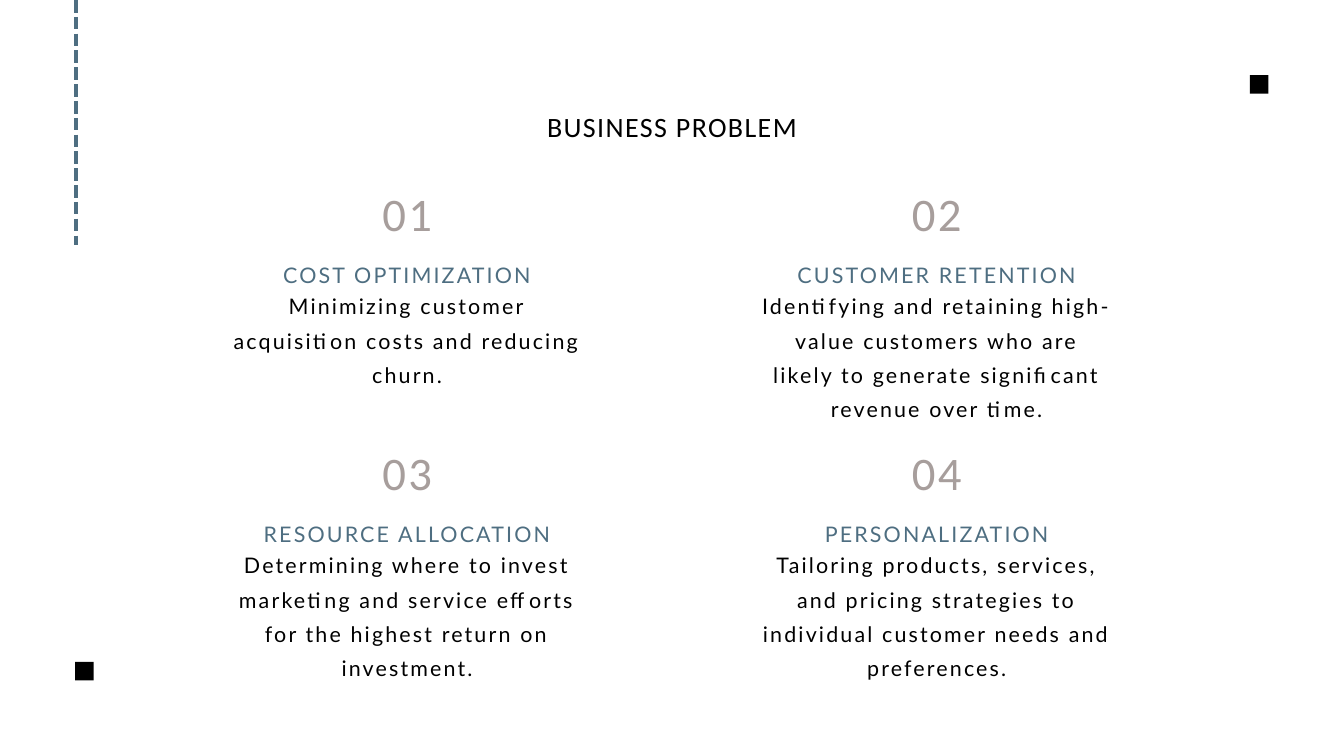
from lxml import etree
from pptx import Presentation
from pptx.dml.color import RGBColor
from pptx.enum.dml import MSO_LINE
from pptx.enum.shapes import MSO_CONNECTOR, MSO_SHAPE
from pptx.enum.text import MSO_ANCHOR, MSO_AUTO_SIZE, PP_ALIGN
from pptx.oxml.ns import qn
from pptx.util import Cm, Pt

DASH = MSO_LINE.SQUARE_DOT
STRAIGHT = MSO_CONNECTOR.STRAIGHT
RECTANGLE = MSO_SHAPE.RECTANGLE
TOP = MSO_ANCHOR.TOP
NO_AUTOFIT = MSO_AUTO_SIZE.NONE
CENTER = PP_ALIGN.CENTER

BLACK, BLUE, TAUPE = "000000", "4E6E81", "A79E9C"


def color(hex_string):
    return RGBColor.from_string(hex_string)


def write(shape, text, font_name, size, hex_string, line_spacing, tracking):
    """Fill a shape with one centred, letter-spaced paragraph."""
    text_frame = shape.text_frame
    text_frame.text = text
    text_frame.word_wrap = True
    text_frame.auto_size = NO_AUTOFIT
    text_frame.vertical_anchor = TOP
    text_frame.margin_left = text_frame.margin_right = 0
    text_frame.margin_top = text_frame.margin_bottom = 0
    paragraph = text_frame.paragraphs[0]
    paragraph.alignment = CENTER
    paragraph.line_spacing = Pt(line_spacing)
    font = paragraph.runs[0].font
    font.name = font_name
    font.size = Pt(size)
    font.color.rgb = color(hex_string)
    # Letter spacing is stored in hundredths of a point
    paragraph.runs[0]._r.get_or_add_rPr().set("spc", str(int(tracking * 100)))


presentation = Presentation()
presentation.slide_width = Cm(50.8)
presentation.slide_height = Cm(28.58)
slide = presentation.slides.add_slide(presentation.slide_layouts[5])

# Title
title = slide.shapes.title
title.left, title.top = Cm(3.84), Cm(3.94)
title.width, title.height = Cm(43.13), Cm(1.52)
write(title, "BUSINESS PROBLEM", "Calibri", 30, BLACK, 42, 1.5)

# Four problems in a two by two grid
problems = [
    ("COST OPTIMIZATION",
     "Minimizing customer acquisition costs and reducing churn."),
    ("CUSTOMER RETENTION",
     "Identifying and retaining high-value customers who are likely to "
     "generate significant revenue over time."),
    ("RESOURCE ALLOCATION",
     "Determining where to invest marketing and service efforts for the "
     "highest return on investment."),
    ("PERSONALIZATION",
     "Tailoring products, services, and pricing strategies to individual "
     "customer needs and preferences."),
]
for index, (heading, description) in enumerate(problems):
    row, column = divmod(index, 2)
    left = 8.76 + column * 20.02
    top = 6.65 + row * 9.79
    # Offset from the top, height, then text and its format
    parts = [
        (0, 2.49, f"{index + 1:02d}", "Calibri", 50, TAUPE, 70, 2.5),
        (3.11, 2.18, heading, "Lato", 23, BLUE, 32.2, 2.3),
        (4.12, 6.43, description, "Lato", 23, BLACK, 36.8, 2.3),
    ]
    for offset, height, *text_format in parts:
        text_box = slide.shapes.add_textbox(
            Cm(left), Cm(top + offset), Cm(13.26), Cm(height))
        write(text_box, *text_format)

# Corner squares
for left, top in [(2.84, 25.02), (47.24, 2.84)]:
    square = slide.shapes.add_shape(
        RECTANGLE, Cm(left), Cm(top), Cm(0.7), Cm(0.7))
    square.shadow.inherit = False
    square.fill.solid()
    square.fill.fore_color.rgb = color(BLACK)
    square.line.fill.background()

# Dashed line from the top edge
dashed_line = slide.shapes.add_connector(
    STRAIGHT, Cm(2.87), Cm(0), Cm(2.87), Cm(9.27))
dashed_line.line.color.rgb = color(BLUE)
dashed_line.line.width = Pt(4.5)
dashed_line.line.dash_style = DASH
# The preset dash is the system dash, which has no enum member of its own
dashed_line.line._ln.find(qn("a:prstDash")).set("val", "sysDash")
etree.SubElement(dashed_line._element.spPr, qn("a:effectLst"))

presentation.save("out.pptx")
